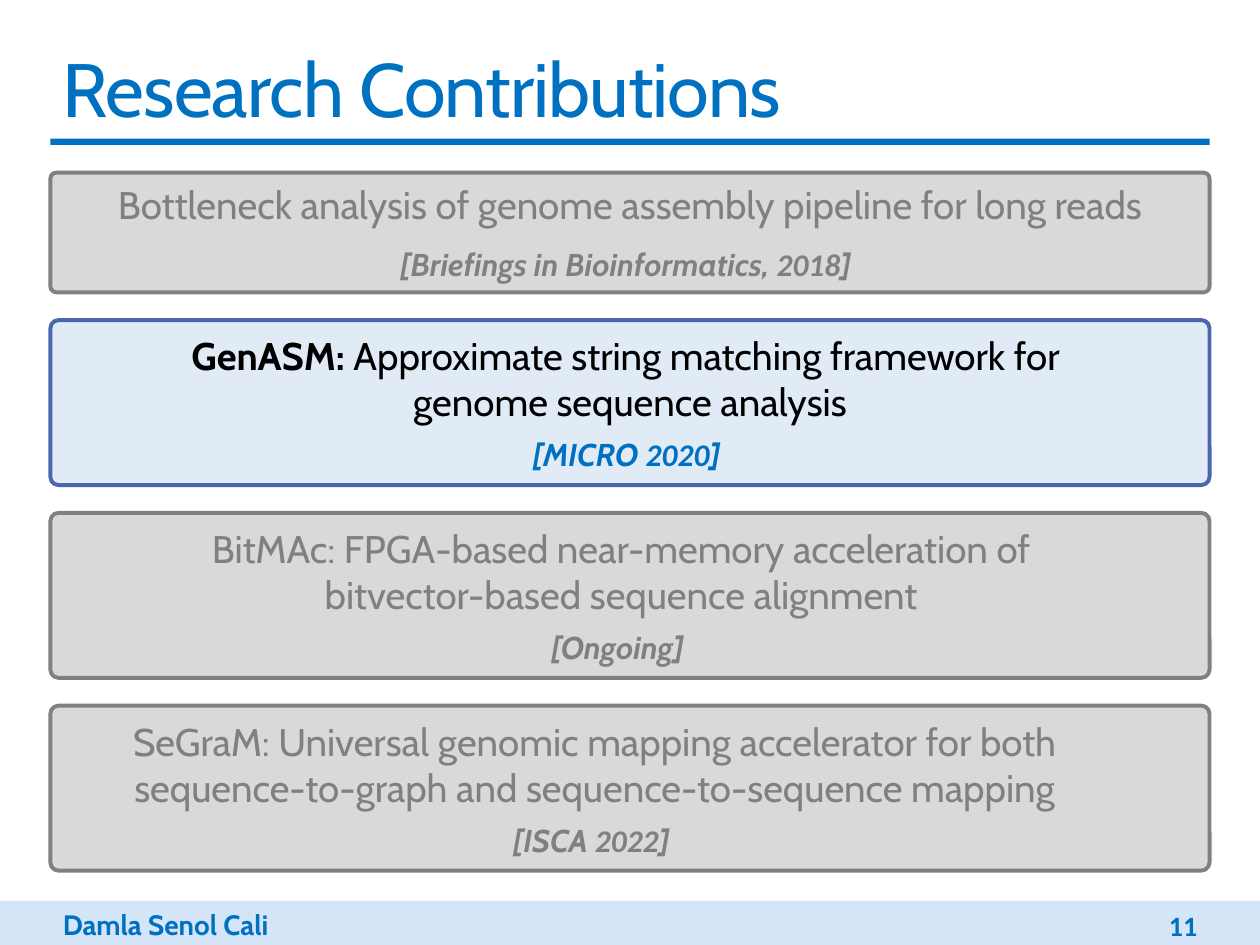
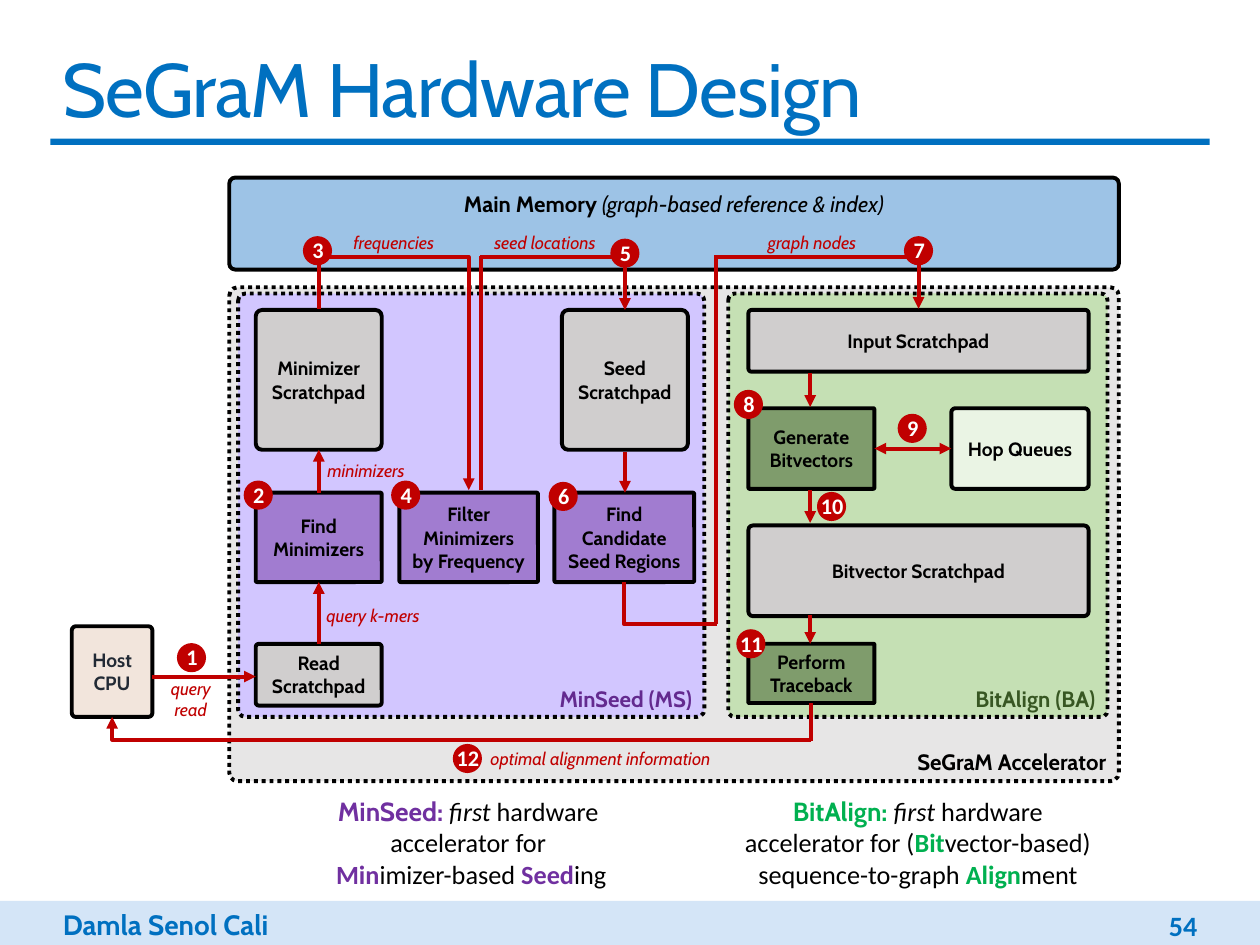
from lxml.etree import SubElement
from pptx import Presentation
from pptx.dml.color import RGBColor
from pptx.enum.dml import MSO_LINE
from pptx.enum.shapes import MSO_CONNECTOR as LINK, MSO_SHAPE as SHAPE
from pptx.enum.text import MSO_ANCHOR as ANCHOR, PP_ALIGN as ALIGN
from pptx.oxml.ns import qn
from pptx.util import Emu, Pt

PX = 9144  # 100 px to the inch

BLUE, PALE_BLUE, BLACK, WHITE = "0070C0", "D4E5F7", "000000", "FFFFFF"
GREY, LIGHT_GREY, RED = "808080", "D9D9D9", "C00000"
SCRATCHPAD, PURPLE, GREEN, DARK_GREEN = "D0CECE", "7030A0", "00B050", "385723"
LINE_WIDTH = 2.25


def px(value):
    return Emu(value * PX)


def color(code):
    return RGBColor.from_string(code)


class Canvas:
    """Holds the deck, its style and the current page."""

    def __init__(self):
        self.deck = Presentation()
        self.deck.slide_width, self.deck.slide_height = px(1000), px(750)
        self.page = None

    def new_page(self, title, number):
        self.page = self.deck.slides.add_slide(self.deck.slide_layouts[6])
        self.shape((0, 715, 1000, 35), PALE_BLUE, kind=SHAPE.RECTANGLE)
        self.shape((40, 110, 920, 5), BLUE, kind=SHAPE.RECTANGLE)
        self.text((40, 715, 250, 35), ["Damla Senol Cali"], anchor=ANCHOR.TOP,
                  align=ALIGN.LEFT, size=16, ink=BLUE, bold=True)
        self.text((40, 28, 920, 82), [title], align=ALIGN.LEFT,
                  size=43.2, ink=BLUE, spacing=-50)
        self.text((822, 719, 138, 30), [str(number)], align=ALIGN.RIGHT,
                  size=16, ink=BLUE, bold=True, font="Calibri")

    def shape(self, place, fill, outline=None, kind=SHAPE.ROUNDED_RECTANGLE,
              corner=0.05, opacity=None, dotted=False):
        shape = self.page.shapes.add_shape(kind, *map(px, place))
        shape.shadow.inherit = False
        if kind == SHAPE.ROUNDED_RECTANGLE:
            shape.adjustments[0] = corner
        shape.fill.solid()
        shape.fill.fore_color.rgb = color(fill)
        if opacity:
            tint = shape.fill._xPr.find(".//" + qn("a:srgbClr"))
            SubElement(tint, qn("a:alpha"), val=str(opacity * 1000))
        if outline:
            shape.line.color.rgb = color(outline)
            shape.line.width = Pt(LINE_WIDTH)
            if dotted:
                shape.line.dash_style = MSO_LINE.ROUND_DOT
        else:
            shape.line.fill.background()
        return shape

    def text(self, place, lines, **style):
        box = self.page.shapes.add_textbox(*map(px, place))
        self.fill_text(box, lines, **style)

    def fill_text(self, shape, lines, anchor=ANCHOR.MIDDLE, align=ALIGN.CENTER,
                  insets=(10, 5, 10, 5), wrap=True, **style):
        """Each line is a string or a list of (text, style changes)."""
        frame = shape.text_frame
        frame.word_wrap = wrap
        frame.vertical_anchor = anchor
        (frame.margin_left, frame.margin_top,
         frame.margin_right, frame.margin_bottom) = map(px, insets)
        for index, line in enumerate(lines):
            para = frame.add_paragraph() if index else frame.paragraphs[0]
            para.alignment = align
            for text, changes in [(line, {})] if isinstance(line, str) else line:
                span = para.add_run()
                span.text = text
                self.style_span(span, **{**style, **changes})

    @staticmethod
    def style_span(span, size, ink, bold=False, italic=False, font="Cabin", spacing=0):
        span.font.size = Pt(size)
        span.font.name = font
        span.font.bold, span.font.italic = bold, italic
        span.font.color.rgb = color(ink)
        if spacing:
            span.font._element.set("spc", str(spacing))

    def line(self, start, end, head=False, tail=True, elbow=False):
        """An elbow runs horizontally first, then vertically."""
        link = self.page.shapes.add_connector(
            LINK.ELBOW if elbow else LINK.STRAIGHT, *map(px, start + end))
        link.line.color.rgb = color(RED)
        link.line.width = Pt(LINE_WIDTH)
        props = link._element.spPr
        if elbow:
            props.find(qn("a:prstGeom")).set("prst", "bentConnector2")
        stroke = props.find(qn("a:ln"))
        for tag, wanted in (("a:headEnd", head), ("a:tailEnd", tail)):
            if wanted:
                SubElement(stroke, qn(tag), type="triangle")
        SubElement(props, qn("a:effectLst"))

    # Elements of the contribution list
    def card(self, top, height, heading, venue, active=False, shift=0):
        ink, note_ink = (BLACK, BLUE) if active else (GREY, GREY)
        card = self.shape((40, top, 920, height), "E0EBF6" if active else LIGHT_GREY,
                          "4A66AC" if active else GREY)
        note = dict(size=18, ink=note_ink, bold=True, italic=True)
        venue_line = [(text, {**note, **changes}) for text, changes in venue]
        self.fill_text(card, heading + [venue_line], size=22, ink=ink)
        paras = card.text_frame.paragraphs
        paras[-1].space_before = Pt(6)
        if shift:
            paras[0]._p.get_or_add_pPr().set("marR", str(px(shift)))

    # Elements of the hardware diagram
    def block(self, place, lines, fill, ink=BLACK, **look):
        block = self.shape(place, fill, BLACK, **look)
        self.fill_text(block, lines, size=11, ink=ink, bold=True)

    def region(self, place, name, fill, ink, insets):
        region = self.shape(place, fill, BLACK, corner=0.017, dotted=True)
        self.fill_text(region, [name], anchor=ANCHOR.BOTTOM, align=ALIGN.RIGHT,
                       insets=insets, size=12.7, ink=ink, bold=True)

    def label(self, place, *lines):
        self.text(place, lines, size=10.2, ink=RED, italic=True)

    def marker(self, number, left, top):
        marker = self.shape((left, top, 20, 20), RED, RED, kind=SHAPE.OVAL)
        self.fill_text(marker, [str(number)], insets=(1, 0, 0, 1), wrap=False,
                       size=12.7, ink=WHITE, bold=True, font="Calibri")


def venue(name, year):
    return [(f"[{name} ", {}), (year, {"font": "Calibri"}), ("] ", {})]


def contributions(canvas):
    canvas.new_page("Research Contributions", 11)
    bottleneck = venue("Briefings in Bioinformatics,", "2018")
    bottleneck[-1:] = [("]", {}), (" ", {"size": 22, "bold": False})]
    cards = [
        (95, ["Bottleneck analysis of genome assembly pipeline for long reads"],
         bottleneck, False, 0),
        (131, [[("GenASM:", {"bold": True}),
                (" Approximate string matching framework for ", {})],
               "genome sequence analysis"], venue("MICRO", "2020"), True, 0),
        (131, ["BitMAc: FPGA-based near-memory acceleration of",
               "bitvector-based sequence alignment"], [("[Ongoing] ", {})], False, 14),
        (131, ["SeGraM: Universal genomic mapping accelerator for both",
               "sequence-to-graph and sequence-to-sequence mapping"],
         venue("ISCA", "2022"), False, 56),
    ]
    top, gap = 137, 22
    for height, heading, source, active, shift in cards:
        canvas.card(top, height, heading, source, active, shift)
        top += height + gap


def hardware(canvas):
    canvas.new_page("SeGraM Hardware Design", 54)

    # Memory and nested regions
    memory = canvas.shape((182, 141, 706, 73), "9DC3E6", BLACK, corner=0.064)
    canvas.fill_text(memory, [[("Main Memory ", {"bold": True}),
                               ("(graph-based reference & index)", {"italic": True})]],
                     anchor=ANCHOR.TOP, insets=(8, 9, 8, 5), size=12.7, ink=BLACK)
    canvas.region((182, 228, 706, 392), "SeGraM Accelerator", "E7E6E6", BLACK, (8, 3, 8, 3))
    canvas.region((189, 233, 370, 336), "MinSeed (MS)", "D2C6FF", "632A8F", (8, 5, 8, 2))
    canvas.region((578, 233, 301, 336), "BitAlign (BA)", "C5E0B4", DARK_GREEN, (8, 5, 8, 2))

    # Host, scratchpads and queues
    canvas.block((57, 497, 64, 72), ["Host CPU"], "F2E5DC", "222A35")
    for place, lines in [
        ((203, 511, 100, 49), ["Read", "Scratchpad"]),
        ((203, 246, 100, 111), ["Minimizer Scratchpad"]),
        ((446, 246, 100, 111), ["Seed Scratchpad"]),
        ((594, 246, 270, 49), ["Input Scratchpad"]),
        ((594, 417, 270, 72), ["Bitvector Scratchpad"]),
    ]:
        canvas.block(place, lines, SCRATCHPAD)
    canvas.block((755, 324, 109, 64), ["Hop Queues"], "EAF4E4")

    # Compute units
    for place, lines, fill in [
        ((203, 391, 100, 71), ["Find Minimizers"], PURPLE),
        ((317, 391, 110, 71), ["Filter", "Minimizers by Frequency"], PURPLE),
        ((440, 391, 111, 71), ["Find Candidate", "Seed Regions"], PURPLE),
        ((594, 324, 100, 64), ["Generate Bitvectors"], DARK_GREEN),
        ((594, 511, 100, 47), ["Perform", "Traceback"], DARK_GREEN),
    ]:
        canvas.block(place, lines, fill, corner=0.015, opacity=49)

    # Data flow: arrows, plain lines, elbows
    for start, end in [
        ((121, 537), (203, 537)), ((253, 511), (253, 462)), ((253, 391), (253, 357)),
        ((496, 359), (496, 391)), ((643, 296), (643, 323)), ((643, 389), (643, 415)),
        ((643, 488), (643, 511)),
    ]:
        canvas.line(start, end)
    canvas.line((755, 356), (694, 356), head=True)
    for start, end in [((253, 204), (253, 245)), ((382, 203), (382, 389)),
                       ((568, 203), (568, 495)), ((644, 558), (644, 588))]:
        canvas.line(start, end, tail=False)
    for start, end in [((253, 204), (372, 389)), ((381, 204), (496, 246)),
                       ((567, 204), (729, 245)), ((644, 587), (89, 569))]:
        canvas.line(start, end, elbow=True)
    canvas.line((569, 495), (495, 462), tail=False, elbow=True)

    # Data names
    canvas.label((105, 535, 93, 39), "query", "read")
    canvas.label((245, 469, 102, 39), "query k-mers")
    canvas.label((244, 354, 93, 39), "minimizers")
    canvas.label((266, 173, 93, 39), "frequencies")
    canvas.label((382, 173, 101, 39), "seed locations")
    canvas.label((598, 173, 93, 39), "graph nodes")
    canvas.label((367, 582, 219, 39), "optimal alignment information")

    # Step numbers
    steps = [(142, 512), (195, 383), (242, 189), (312, 383), (486, 191), (437, 384),
             (719, 189), (584, 311), (714, 330), (650, 392), (586, 501), (361, 592)]
    for number, (left, top) in enumerate(steps, 1):
        canvas.marker(number, left, top)

    # Captions
    violet, green = ({"ink": ink, "bold": True} for ink in (PURPLE, GREEN))
    first = ("first", {"italic": True})
    caption = dict(anchor=ANCHOR.TOP, size=15, ink=BLACK, font="Calibri")
    canvas.text((189, 626, 370, 86), [
        [("MinSeed: ", {**violet, "font": "Cabin"}), first, (" hardware ", {})],
        "accelerator for ",
        [("Min", violet), ("imizer-based ", {}), ("Seed", violet), ("ing", {})],
    ], **caption)
    canvas.text((578, 626, 301, 86), [
        [("BitAlign: ", {**green, "font": "Cabin"}), first,
         (" hardware accelerator for (", {}), ("Bit", green),
         ("vector-based) sequence-to-graph ", {}), ("Align", green), ("ment", {})],
    ], **caption)


def main():
    canvas = Canvas()
    contributions(canvas)
    hardware(canvas)
    canvas.deck.save("out.pptx")


if __name__ == "__main__":
    main()
